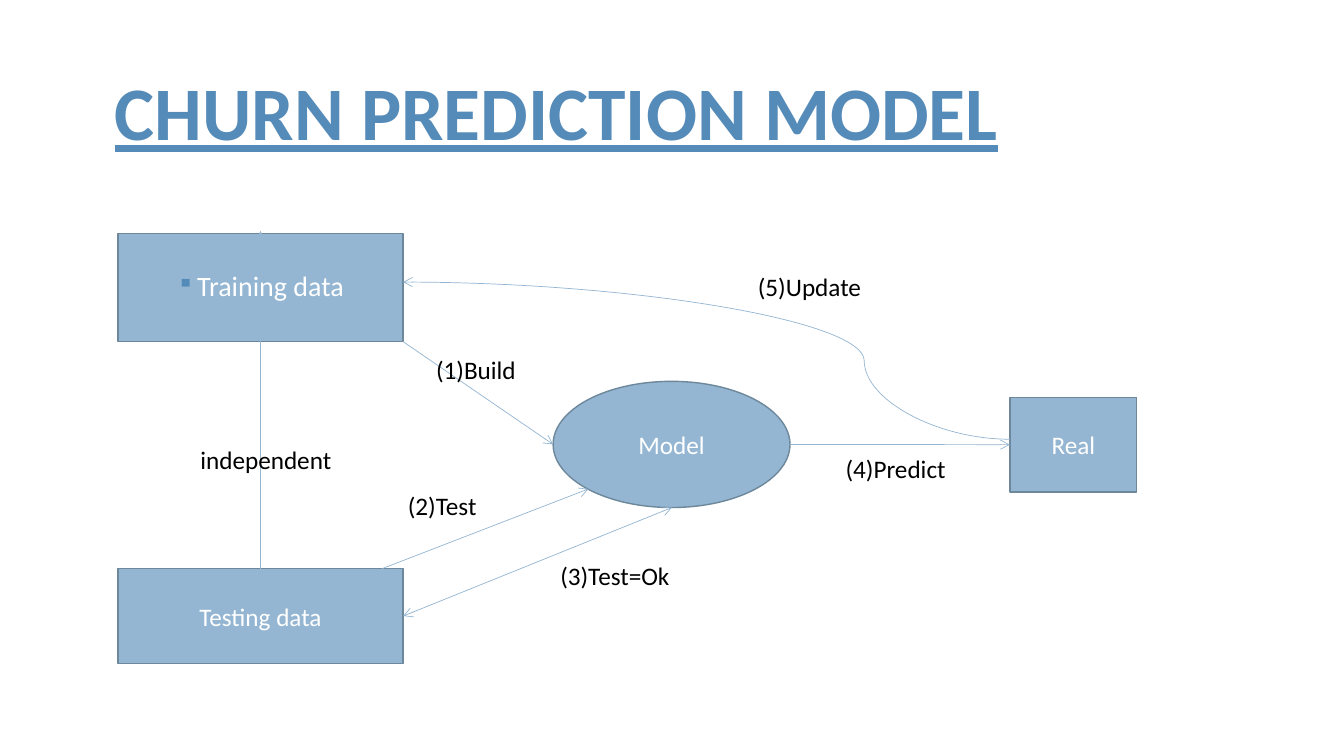
from pptx import Presentation
from pptx.dml.color import RGBColor
from pptx.enum.shapes import MSO_CONNECTOR as Connector, MSO_SHAPE as Shape
from pptx.enum.text import MSO_ANCHOR as Anchor, MSO_AUTO_SIZE as AutoSize, PP_ALIGN as Align
from pptx.oxml.ns import qn
from pptx.util import Cm, Pt
from lxml.etree import SubElement

TITLE_BLUE = RGBColor(0x55, 0x8B, 0xB8)
FILL_BLUE = RGBColor(0x94, 0xB6, 0xD2)
OUTLINE = RGBColor(0x6D, 0x87, 0x9B)
WHITE = RGBColor(0xFF, 0xFF, 0xFF)
BLACK = RGBColor(0x00, 0x00, 0x00)
FONT = "Calibri"


def format_text(text_frame, size, color, align=Align.LEFT, bold=False, underline=False):
    paragraph = text_frame.paragraphs[0]
    paragraph.alignment = align
    font = paragraph.runs[0].font
    font.name, font.size, font.color.rgb = FONT, Pt(size), color
    font.bold, font.underline = bold, underline


def add_title(slide, left, top, width, height):
    title = slide.shapes.title
    title.left, title.top, title.width, title.height = map(Cm, (left, top, width, height))
    text_frame = title.text_frame
    text_frame.text = "CHURN PREDICTION MODEL"
    text_frame.vertical_anchor = Anchor.MIDDLE
    text_frame.auto_size = AutoSize.NONE
    text_frame.paragraphs[0].line_spacing = 0.9
    format_text(text_frame, 54, TITLE_BLUE, bold=True, underline=True)


def add_node(slide, kind, text, size, left, top, width, height):
    node = slide.shapes.add_shape(kind, Cm(left), Cm(top), Cm(width), Cm(height))
    node.shadow.inherit = False
    node.fill.solid()
    node.fill.fore_color.rgb = FILL_BLUE
    node.line.color.rgb = OUTLINE
    node.line.width = Pt(1)
    node.text_frame.text = text
    node.text_frame.vertical_anchor = Anchor.MIDDLE
    format_text(node.text_frame, size, WHITE, Align.CENTER)
    return node


def add_bullet(paragraph):
    paragraph.line_spacing = 0.9
    paragraph.space_before = Pt(12)
    properties = paragraph._p.get_or_add_pPr()
    indent = Cm(0.51)
    properties.set("marL", str(indent))
    properties.set("indent", str(-indent))
    color = SubElement(properties, qn("a:buClr"))
    SubElement(color, qn("a:srgbClr"), val=str(TITLE_BLUE))
    SubElement(properties, qn("a:buSzPct"), val="85000")
    SubElement(properties, qn("a:buChar"), char="▪")


def add_arrow(slide, start, end, kind=Connector.STRAIGHT, both_ends=False):
    arrow = slide.shapes.add_connector(kind, *map(Cm, (*start, *end)))
    arrow.line.color.rgb = FILL_BLUE
    arrow.line.width = Pt(0.5)
    line = arrow.line._get_or_add_ln()
    for tag in ("a:headEnd", "a:tailEnd") if both_ends else ("a:tailEnd",):
        SubElement(line, qn(tag), type="arrow")
    SubElement(arrow._element.spPr, qn("a:effectLst"))
    return arrow


def add_label(slide, text, left, top, width):
    label = slide.shapes.add_textbox(Cm(left), Cm(top), Cm(width), Cm(1.02))
    label.text_frame.word_wrap = True
    label.text_frame.text = text
    format_text(label.text_frame, 18, BLACK)


def add_diagram(slide, left, top):
    def at(x, y):
        return left + x, top + y

    # Nodes
    data_width = 7.19
    training = add_node(slide, Shape.RECTANGLE, "Training data", 20, *at(0, 0), data_width, 2.72)
    add_bullet(training.text_frame.paragraphs[0])
    add_node(slide, Shape.OVAL, "Model", 18, *at(10.97, 3.72), 5.97, 3.18)
    testing = add_node(slide, Shape.RECTANGLE, "Testing data", 18, *at(0, 8.44), data_width, 2.39)
    real = add_node(slide, Shape.RECTANGLE, "Real", 18, *at(22.48, 4.12), 3.2, 2.39)

    # Curved update arrow, bending near its start
    update = add_arrow(slide, at(22.48, 5.18), at(data_width, 1.22), Connector.CURVE)
    guides = update._element.spPr.find(qn("a:prstGeom")).get_or_add_avLst()
    SubElement(guides, qn("a:gd"), name="adj1", fmla="val 24000")

    # Straight arrows: build, independent, predict, test, test result
    add_arrow(slide, at(data_width, 2.72), at(10.97, 5.31))
    add_arrow(slide, at(data_width / 2, -0.07), at(data_width / 2, 9.63), both_ends=True)
    predict = add_arrow(slide, at(16.94, 5.31), at(22.48, 5.31))
    predict.end_connect(real, 1)
    add_arrow(slide, at(6.66, 8.44), at(11.86, 6.43))
    test_result = add_arrow(slide, at(data_width, 9.63), at(13.96, 6.9), both_ends=True)
    test_result.begin_connect(testing, 3)

    # Labels
    for text, x, y, width in (
        ("(3)Test=Ok", 10.9, 8.11, 4.01),
        ("(5)Update", 15.88, 0.82, 3.48),
        ("(2)Test", 7.06, 6.33, 2.54),
        ("(1)Build", 7.77, 2.92, 3.1),
        ("(4)Predict", 18.09, 5.41, 3.43),
        ("independent", 1.83, 5.18, 4.32),
    ):
        add_label(slide, text, *at(x, y), width)


def main():
    presentation = Presentation()
    presentation.slide_width, presentation.slide_height = Cm(33.87), Cm(19.05)
    slide = presentation.slides.add_slide(presentation.slide_layouts[5])
    add_title(slide, 2.64, 0.69, 27.94, 4.47)
    add_diagram(slide, 2.97, 5.89)
    presentation.save("out.pptx")


if __name__ == "__main__":
    main()
